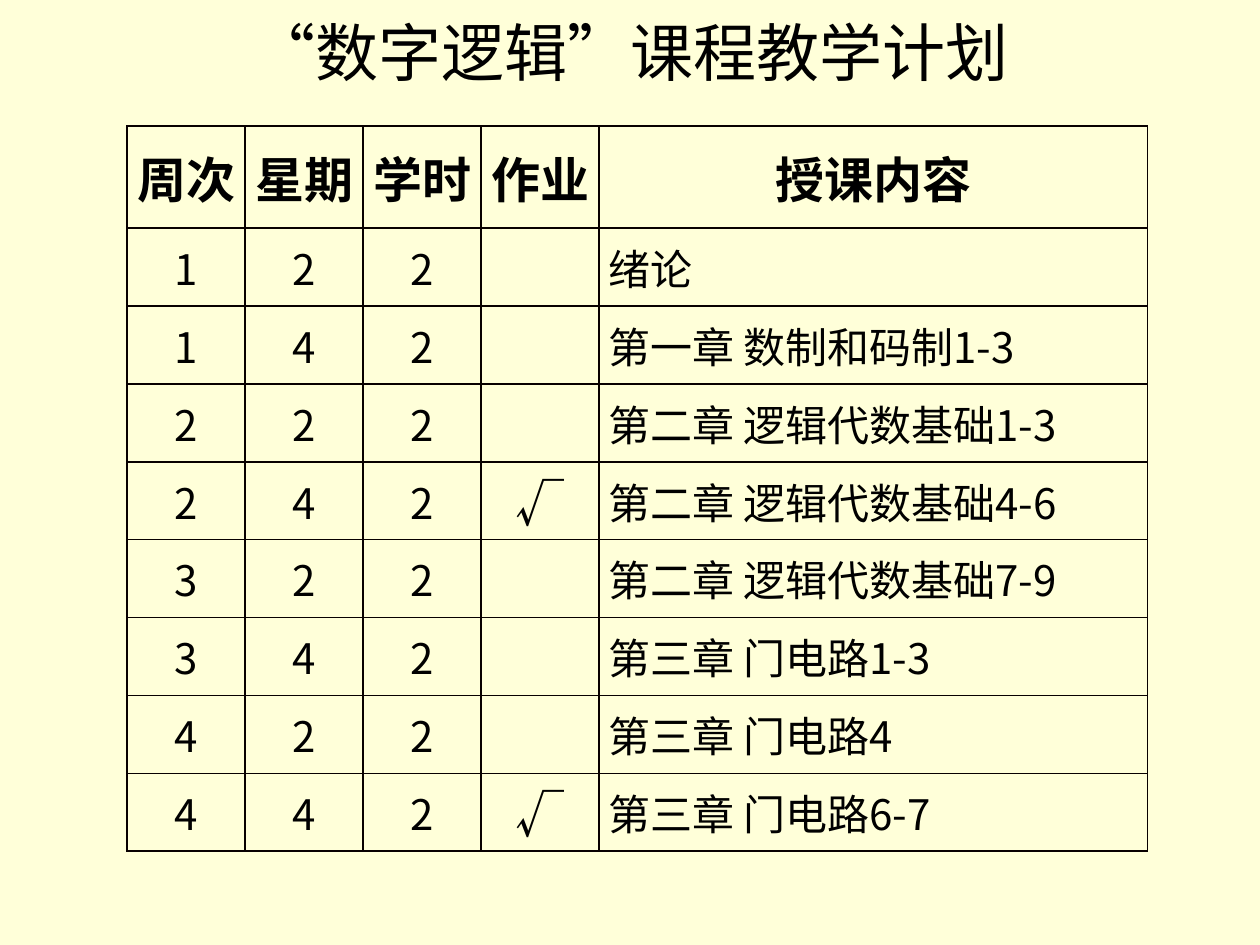
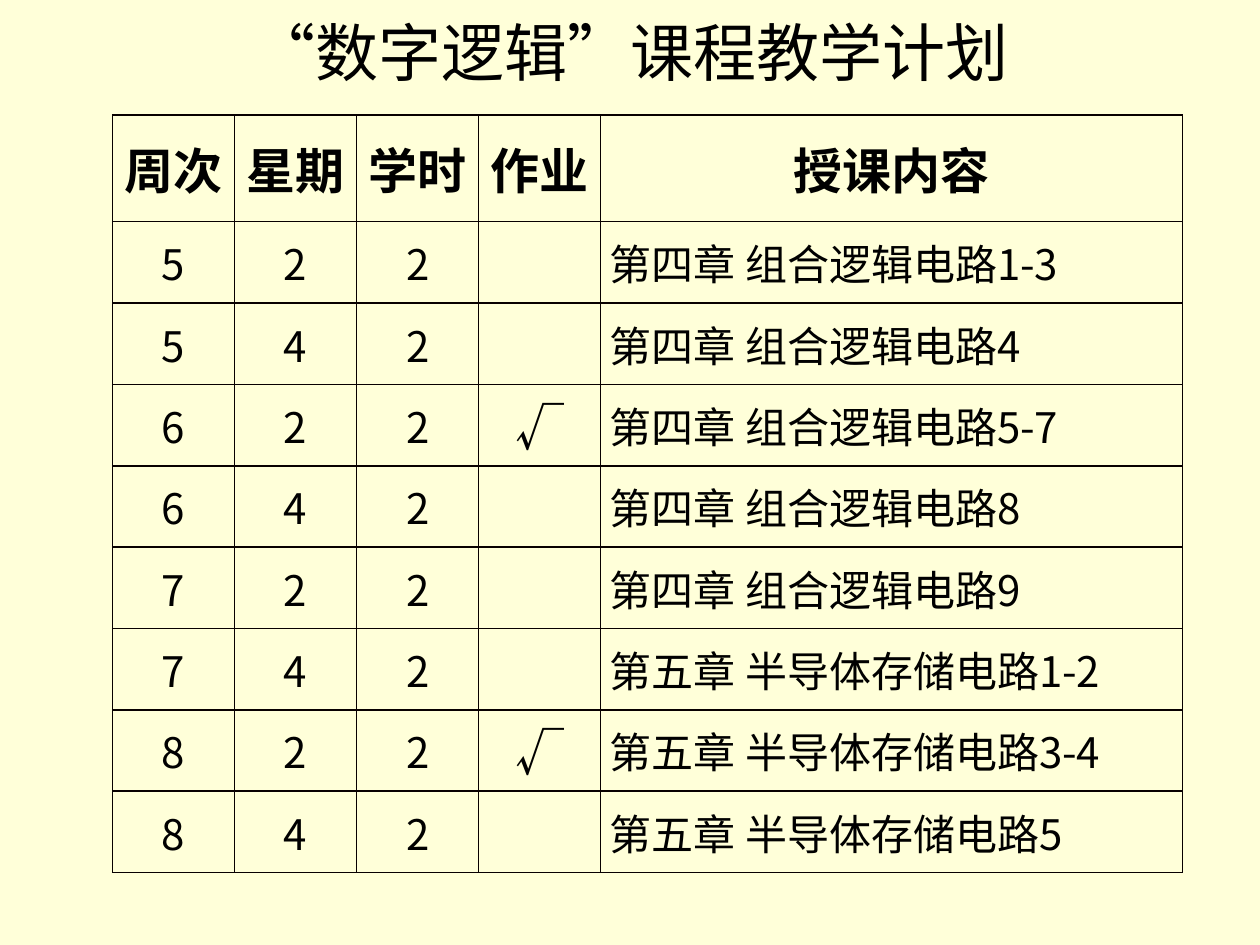
from lxml.etree import SubElement
from pptx import Presentation
from pptx.dml.color import RGBColor
from pptx.enum.text import MSO_ANCHOR as Anchor, PP_ALIGN as Align
from pptx.oxml.ns import qn
from pptx.util import Cm, Pt

FONT = "Noto Sans CJK SC"
PAPER, INK, BORDER = "FFFFD9", "000000", "080000"
TITLE = "“数字逻辑”课程教学计划"
HEADINGS = ["周次", "星期", "学时", "作业", "授课内容"]
DAYS = [2, 4]
HOURS = 2

# Lengths in cm; homework lists the sessions that set an assignment
PLANS = [
    dict(left=2.56, top=2.54, narrow=2.38, wide=11.05, header=2.06, row=1.57,
         first_week=1, homework=[3, 7],
         topics=["绪论", "第一章 数制和码制1-3", "第二章 逻辑代数基础1-3",
                 "第二章 逻辑代数基础4-6", "第二章 逻辑代数基础7-9",
                 "第三章 门电路1-3", "第三章 门电路4", "第三章 门电路6-7"]),
    dict(left=2.27, top=2.32, narrow=2.46, wide=11.73, header=2.15, row=1.64,
         first_week=5, homework=[2, 6],
         topics=["第四章 组合逻辑电路1-3", "第四章 组合逻辑电路4",
                 "第四章 组合逻辑电路5-7", "第四章 组合逻辑电路8",
                 "第四章 组合逻辑电路9", "第五章 半导体存储电路1-2",
                 "第五章 半导体存储电路3-4", "第五章 半导体存储电路5"]),
]


def rgb(value):
    return RGBColor.from_string(value)


def write(tf, text, size, bold=False, align=Align.CENTER):
    """Add one formatted run, with the font set for Latin and Chinese text."""
    p = tf.paragraphs[0]
    p.alignment = align
    r = p.add_run()
    r.text = text
    r.font.name = FONT
    r.font.size = Pt(size)
    r.font.bold = bold
    r.font.color.rgb = rgb(INK)
    SubElement(r.font._element, qn("a:ea"), typeface=FONT)


prs = Presentation()
prs.slide_width, prs.slide_height = Cm(25.4), Cm(19.05)
fill = prs.slide_master.background.fill
fill.solid()
fill.fore_color.rgb = rgb(PAPER)

for plan in PLANS:
    s = prs.slides.add_slide(prs.slide_layouts[5])
    sp = s.shapes.title
    sp.left, sp.top, sp.width, sp.height = Cm(1.27), Cm(0.03), Cm(22.86), Cm(2)
    sp.text_frame.vertical_anchor = Anchor.MIDDLE
    write(sp.text_frame, TITLE, 36)

    rows = [HEADINGS]
    for i, topic in enumerate(plan["topics"]):
        week = plan["first_week"] + i // len(DAYS)
        mark = "√" if i in plan["homework"] else ""
        rows.append([str(week), str(DAYS[i % len(DAYS)]), str(HOURS), mark, topic])

    widths = [plan["narrow"]] * 4 + [plan["wide"]]
    heights = [plan["header"]] + [plan["row"]] * len(plan["topics"])
    table = s.shapes.add_table(len(rows), len(widths), Cm(plan["left"]), Cm(plan["top"]),
                               Cm(sum(widths)), Cm(sum(heights))).table
    table.horz_banding = False
    for column, width in zip(table.columns, widths):
        column.width = Cm(width)
    for row, height in zip(table.rows, heights):
        row.height = Cm(height)

    for y, texts in enumerate(rows):
        for x, text in enumerate(texts):
            cell = table.cell(y, x)
            cell.vertical_anchor = Anchor.MIDDLE
            cell.margin_left = cell.margin_right = Cm(0.18)
            cell.margin_top = cell.margin_bottom = 0
            tcPr = cell._tc.get_or_add_tcPr()
            for side in ["lnL", "lnR", "lnT", "lnB"]:
                ln = SubElement(tcPr, qn(f"a:{side}"), w=str(Pt(1)))
                SubElement(SubElement(ln, qn("a:solidFill")), qn("a:srgbClr"), val=BORDER)
            cell.fill.background()
            if text:
                is_topic = y > 0 and x == len(HEADINGS) - 1
                write(cell.text_frame, text, 28 if y == 0 or text == "√" else 24,
                      bold=y == 0, align=Align.LEFT if is_topic else Align.CENTER)

prs.save("out.pptx")
